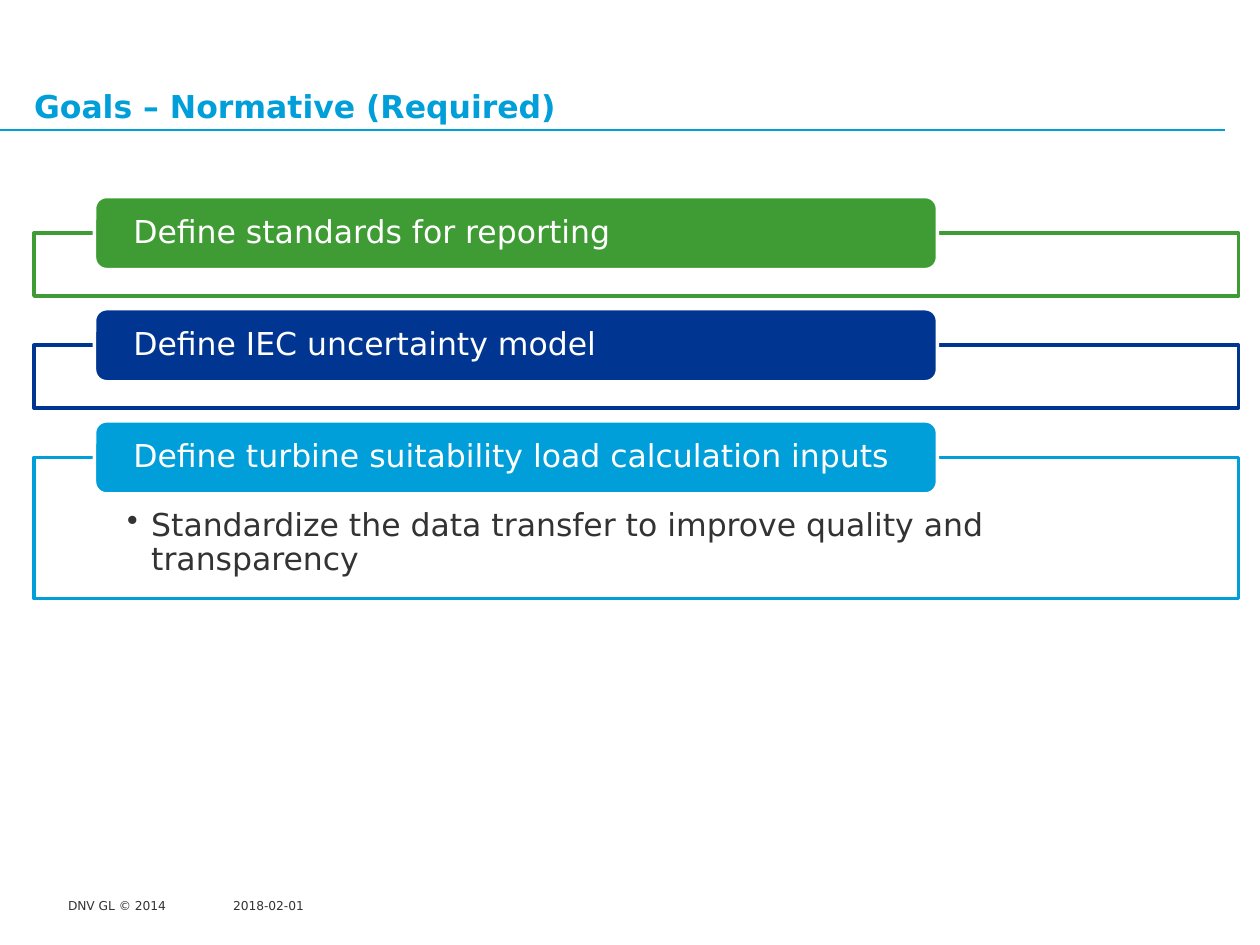
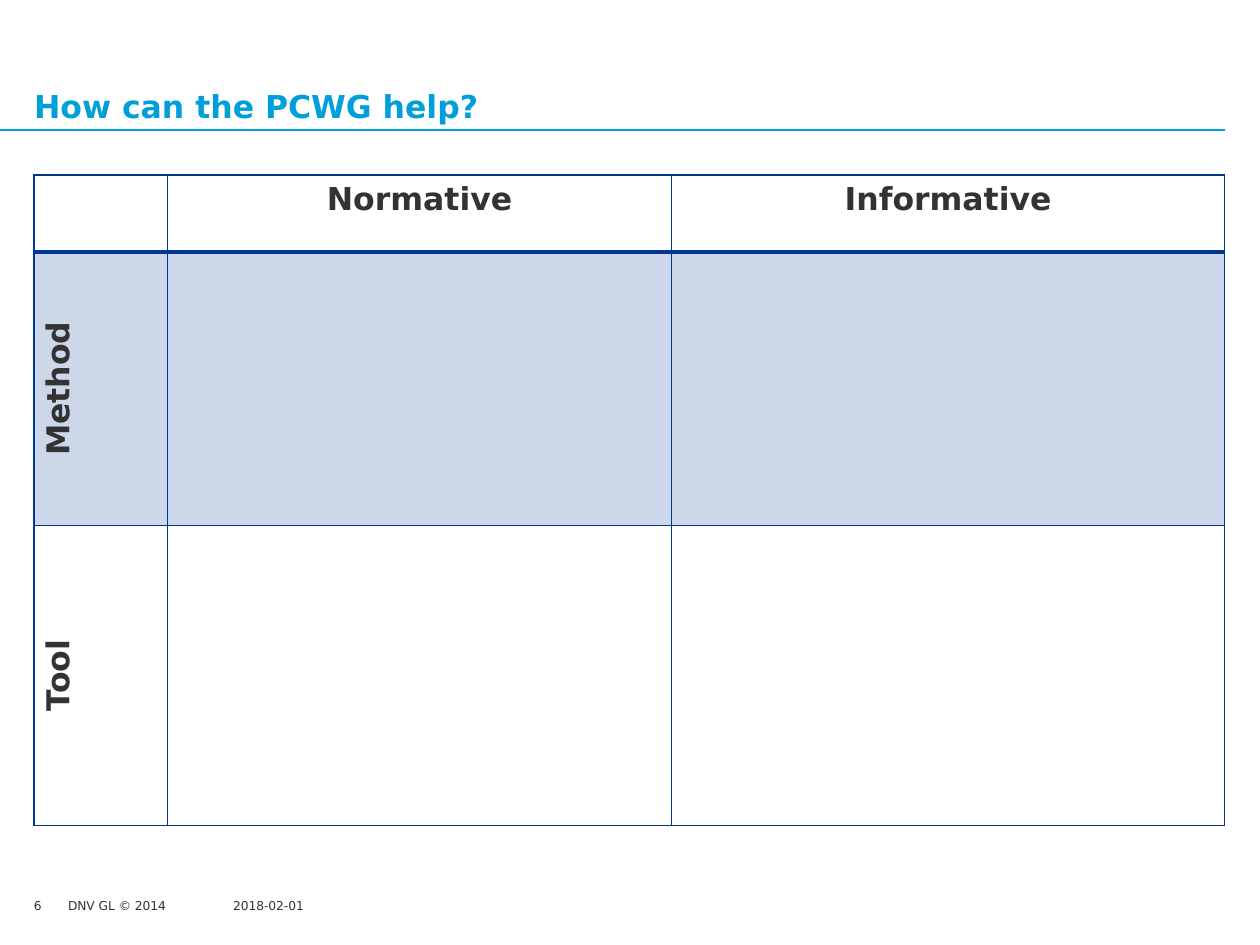
from lxml import etree
from pptx import Presentation
from pptx.dml.color import RGBColor
from pptx.enum import shapes, text
from pptx.oxml import ns
from pptx.util import Inches, Pt

FONT = "DejaVu Sans"
SKY, NAVY, GREEN = "009FDA", "003591", "3F9C35"
INK, WHITE, PALE = "333333", "FFFFFF", "CCD7E9"
LEFT, WIDTH = 0.27, 9.45


def color(code):
    return RGBColor.from_string(code)


def write(frame, words, size, code, bold=False, pad=(0, 0, 0, 0)):
    frame.margin_left, frame.margin_top, frame.margin_right, frame.margin_bottom = map(Inches, pad)
    frame.word_wrap = True
    para = frame.paragraphs[0]
    para.alignment = text.PP_ALIGN.LEFT
    run = para.add_run()
    run.text = words
    run.font.name = FONT
    run.font.size = Pt(size)
    run.font.bold = bold
    run.font.color.rgb = color(code)
    return para


deck = Presentation()
deck.slide_width, deck.slide_height = Inches(10), Inches(7.5)

pages = []
notes = [("DNV GL © 2014", 0.54, 1.2), ("2018-02-01", 1.85, 3.07)]
number = ("6", LEFT, 0.26)
for head, foot in [
    ("Goals – Normative (Required)", notes),
    ("How can the PCWG help?", notes + [number]),
]:
    page = deck.slides.add_slide(deck.slide_layouts[5])
    pages.append(page)
    title = page.shapes.title
    title.left, title.top = Inches(LEFT), Inches(0.26)
    title.width, title.height = Inches(WIDTH), Inches(0.73)
    write(title.text_frame, head, 18, SKY, True)
    title.text_frame.vertical_anchor = text.MSO_ANCHOR.BOTTOM

    rule = page.shapes.add_connector(
        shapes.MSO_CONNECTOR.STRAIGHT, 0, Inches(1.03), Inches(9.72), Inches(1.03))
    rule.line.color.rgb = color(SKY)
    rule.line.width = Pt(1)
    etree.SubElement(rule._element.spPr, ns.qn("a:effectLst"))

    for words, left, width in foot:
        box = page.shapes.add_textbox(Inches(left), Inches(7.13), Inches(width), Inches(0.2))
        write(box.text_frame, words, 7, INK)

goals = [
    ("Define standards for reporting", GREEN, 0.5, None),
    ("Define IEC uncertainty model", NAVY, 0.5, None),
    ("Define turbine suitability load calculation inputs", SKY, 1.12,
     "Standardize the data transfer to improve quality and transparency"),
]
for row, (goal, hue, tall, detail) in enumerate(goals):
    top = 1.56 + row * 0.89
    panel = pages[0].shapes.add_shape(
        shapes.MSO_SHAPE.RECTANGLE, Inches(LEFT), Inches(top + 0.29), Inches(9.56), Inches(tall))
    bar = pages[0].shapes.add_shape(
        shapes.MSO_SHAPE.ROUNDED_RECTANGLE, Inches(0.75), Inches(top), Inches(6.69), Inches(0.58))
    for shape, fill, line in [(panel, WHITE, hue), (bar, hue, WHITE)]:
        shape.shadow.inherit = False
        shape.fill.solid()
        shape.fill.fore_color.rgb = color(fill)
        shape.line.color.rgb = color(line)
        shape.line.width = Pt(2)
    para = write(bar.text_frame, goal, 18, WHITE, pad=(0.28, 0, 0.28, 0))
    para.line_spacing = 0.9
    bar.text_frame.vertical_anchor = text.MSO_ANCHOR.MIDDLE
    if detail:
        para = write(panel.text_frame, detail, 18, INK, pad=(0.74, 0.41, 0.74, 0.14))
        para.line_spacing = 0.9
        panel.text_frame.vertical_anchor = text.MSO_ANCHOR.TOP
        props = para._p.get_or_add_pPr()
        props.set("marL", str(Inches(0.19)))
        props.set("indent", str(-Inches(0.19)))
        etree.SubElement(props, ns.qn("a:buChar"), char="•")

cols, rows = [1.06, 4, 4.39], [0.61, 2.17, 2.38]
grid = pages[1].shapes.add_table(
    3, 3, Inches(LEFT), Inches(1.39), Inches(WIDTH), Inches(sum(rows))).table
grid.first_row = grid.horz_banding = False
for col, width in zip(grid.columns, cols):
    col.width = Inches(width)
for row, height in zip(grid.rows, rows):
    row.height = Inches(height)

labels = {(0, 1): "Normative", (0, 2): "Informative", (1, 0): "Method", (2, 0): "Tool"}
for row in range(3):
    for col in range(3):
        cell = grid.cell(row, col)
        props = cell._tc.get_or_add_tcPr()
        for side in "LRTB":
            thick = (row, side) in [(0, "B"), (1, "T")]
            edge = etree.SubElement(props, ns.qn("a:ln" + side), w=str(Pt(2 if thick else 1)))
            fill = etree.SubElement(edge, ns.qn("a:solidFill"))
            etree.SubElement(fill, ns.qn("a:srgbClr"), val=NAVY)
        cell.fill.solid()
        cell.fill.fore_color.rgb = color(PALE if row == 1 else WHITE)
        if (row, col) in labels:
            para = write(cell.text_frame, labels[row, col], 18, INK, True, (0.1, 0.05, 0.1, 0.05))
            para.alignment = text.PP_ALIGN.CENTER
            if col == 0:
                props.set("vert", "vert270")

deck.save("out.pptx")
